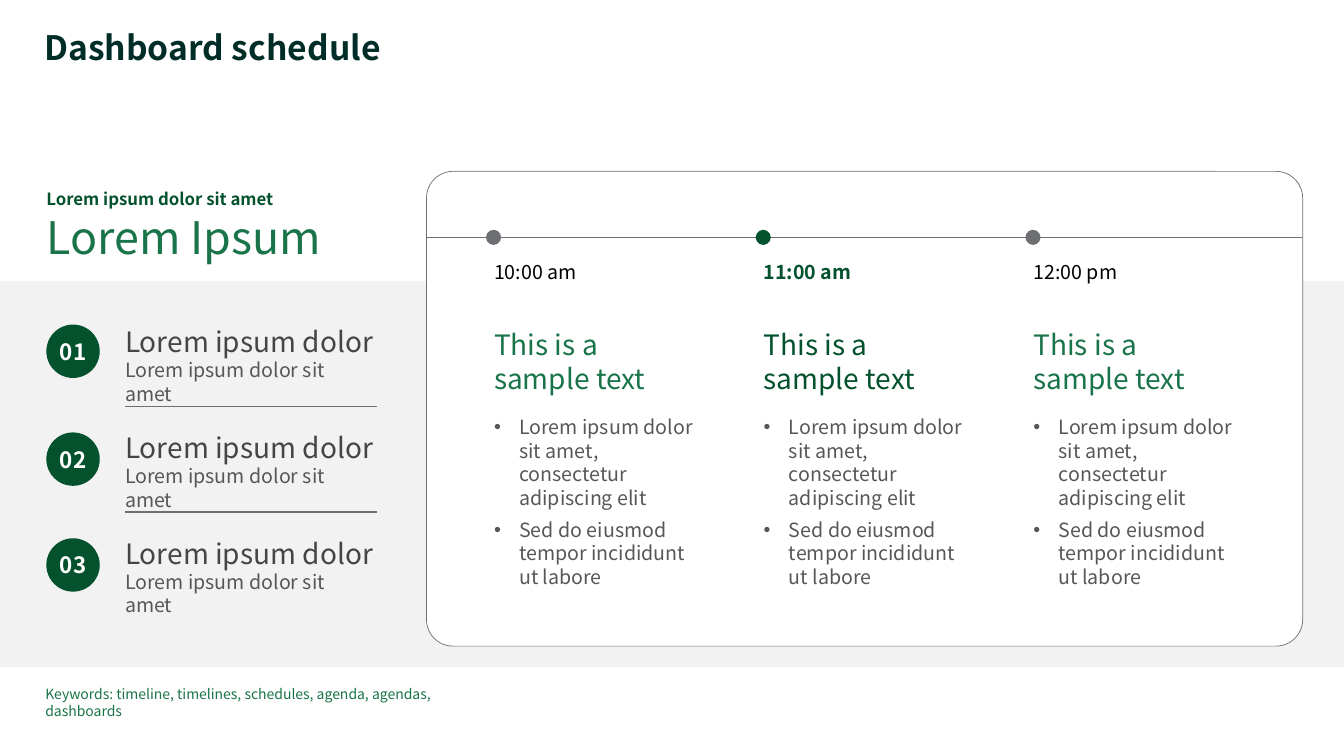
"""Build a dashboard schedule slide with a timeline card and a numbered list."""
from lxml import etree
from pptx import Presentation
from pptx.dml.color import RGBColor
from pptx.enum.shapes import MSO_CONNECTOR, MSO_SHAPE
from pptx.enum.text import MSO_ANCHOR, MSO_AUTO_SIZE, PP_ALIGN
from pptx.oxml.ns import qn
from pptx.util import Inches, Pt

RECTANGLE = MSO_SHAPE.RECTANGLE
ROUNDED = MSO_SHAPE.ROUNDED_RECTANGLE
OVAL = MSO_SHAPE.OVAL
STRAIGHT = MSO_CONNECTOR.STRAIGHT
GROW = MSO_AUTO_SIZE.SHAPE_TO_FIT_TEXT
MIDDLE = MSO_ANCHOR.MIDDLE
CENTER = PP_ALIGN.CENTER


class Theme:
    font = "Noto Sans CJK JP"
    title_color = RGBColor.from_string("002D28")
    dark_green = RGBColor.from_string("03522D")
    green = RGBColor.from_string("1A7449")
    gray = RGBColor.from_string("6E6F73")
    band = RGBColor.from_string("F2F2F2")
    white = RGBColor.from_string("FFFFFF")
    black = RGBColor.from_string("000000")
    item_color = RGBColor.from_string("454545")
    body_color = RGBColor.from_string("575757")
    title_size = 24
    hero_size = 32
    heading_size = 20
    number_size = 16
    body_size = 14
    label_size = 12
    note_size = 10
    leading = 1.2


def add_text(left, top, width, height, lines, bulleted=False, leading=Theme.leading):
    """Add a text box from (text, size, color, bold) lines, one paragraph each."""
    box = page.shapes.add_textbox(Inches(left), Inches(top), Inches(width), Inches(height))
    frame = box.text_frame
    frame.word_wrap = True
    frame.auto_size = GROW
    frame.margin_left = frame.margin_right = frame.margin_top = frame.margin_bottom = 0
    for index, (text, size, color, bold) in enumerate(lines):
        para = frame.add_paragraph() if index else frame.paragraphs[0]
        para.text = text
        para.line_spacing = Pt(round(size * leading, 1))
        if bulleted:
            properties = para._p.get_or_add_pPr()
            properties.set("marL", str(Inches(0.25)))
            properties.set("indent", str(-Inches(0.25)))
            etree.SubElement(properties, qn("a:buFont")).set("typeface", "Arial")
            etree.SubElement(properties, qn("a:buChar")).set("char", "•")
            if index:
                para.space_before = Pt(6)
        for span in para.runs:
            span.font.name = Theme.font
            span.font.size = Pt(size)
            span.font.bold = bold
            span.font.color.rgb = color
    return box


def add_figure(kind, left, top, width, height, color):
    """Add a filled shape without outline or shadow."""
    figure = page.shapes.add_shape(
        kind, Inches(left), Inches(top), Inches(width), Inches(height))
    figure.shadow.inherit = False
    figure.fill.solid()
    figure.fill.fore_color.rgb = color
    figure.line.fill.background()
    return figure


deck = Presentation()
deck.slide_width = Inches(13.33)
deck.slide_height = Inches(7.5)
page = deck.slides.add_slide(deck.slide_layouts[6])

add_text(0.44, 0.28, 11.03, 0.37,
         [("Dashboard schedule", Theme.title_size, Theme.title_color, True)], leading=1.15)
add_figure(RECTANGLE, 0, 2.79, 13.33, 3.83, Theme.band)

card = add_figure(ROUNDED, 4.23, 1.7, 8.69, 4.71, Theme.white)
card.adjustments[0] = 0.056
card.line.color.rgb = Theme.gray
card.line.width = Pt(0.5)

rules = [
    (4.23, 12.91, 2.35, 0.5),
    (1.24, 3.74, 4.03, 1),
    (1.24, 3.74, 5.08, 1),
]
for start, end, height, weight in rules:
    rule = page.shapes.add_connector(
        STRAIGHT, Inches(start), Inches(height), Inches(end), Inches(height))
    rule.line.color.rgb = Theme.gray
    rule.line.width = Pt(weight)
    etree.SubElement(rule._element.spPr, qn("a:effectLst"))

stops = [
    ("10:00 am", False),
    ("11:00 am", True),
    ("12:00 pm", False),
]
for column, (time, current) in enumerate(stops):
    left = 4.9 + column * 2.675
    add_figure(OVAL, left - 0.08, 2.28, 0.15, 0.15,
               Theme.dark_green if current else Theme.gray)
    add_text(left, 2.58, 2.07, 0.24,
             [(time, Theme.body_size, Theme.dark_green if current else Theme.black, current)])
    add_text(left, 3.25, 2.07, 0.67,
             [("This is a\vsample text", Theme.heading_size,
               Theme.dark_green if current else Theme.green, False)])
    add_text(left, 4.12, 2.07, 1.5, [
        ("Lorem ipsum dolor sit amet, consectetur adipiscing elit",
         Theme.body_size, Theme.body_color, False),
        ("Sed do eiusmod tempor incididunt ut labore",
         Theme.body_size, Theme.body_color, False),
    ], bulleted=True)

intro = add_text(0.46, 1.87, 6.95, 0.74, [
    ("Lorem ipsum dolor sit amet", Theme.label_size, Theme.dark_green, True),
    ("Lorem Ipsum", Theme.hero_size, Theme.green, False),
])
intro.text_frame.paragraphs[0].space_after = Pt(1)

for row, badge_top in enumerate([3.22, 4.29, 5.34]):
    badge = add_figure(OVAL, 0.46, badge_top, 0.53, 0.53, Theme.dark_green)
    frame = badge.text_frame
    frame.margin_left = frame.margin_right = frame.margin_top = frame.margin_bottom = 0
    frame.vertical_anchor = MIDDLE
    frame.text = f"{row + 1:02d}"
    para = frame.paragraphs[0]
    para.alignment = CENTER
    font = para.runs[0].font
    font.name = Theme.font
    font.size = Pt(Theme.number_size)
    font.bold = True
    font.color.rgb = Theme.white
    add_text(1.24, 3.22 + row * 1.05, 2.49, 0.57, [
        ("Lorem ipsum dolor", Theme.heading_size, Theme.item_color, False),
        ("Lorem ipsum dolor sit amet", Theme.body_size, Theme.body_color, False),
    ])

add_text(0.45, 6.8, 4.46, 0.17,
         [("Keywords: timeline, timelines, schedules, agenda, agendas, dashboards",
           Theme.note_size, Theme.green, False)])

deck.save("out.pptx")
